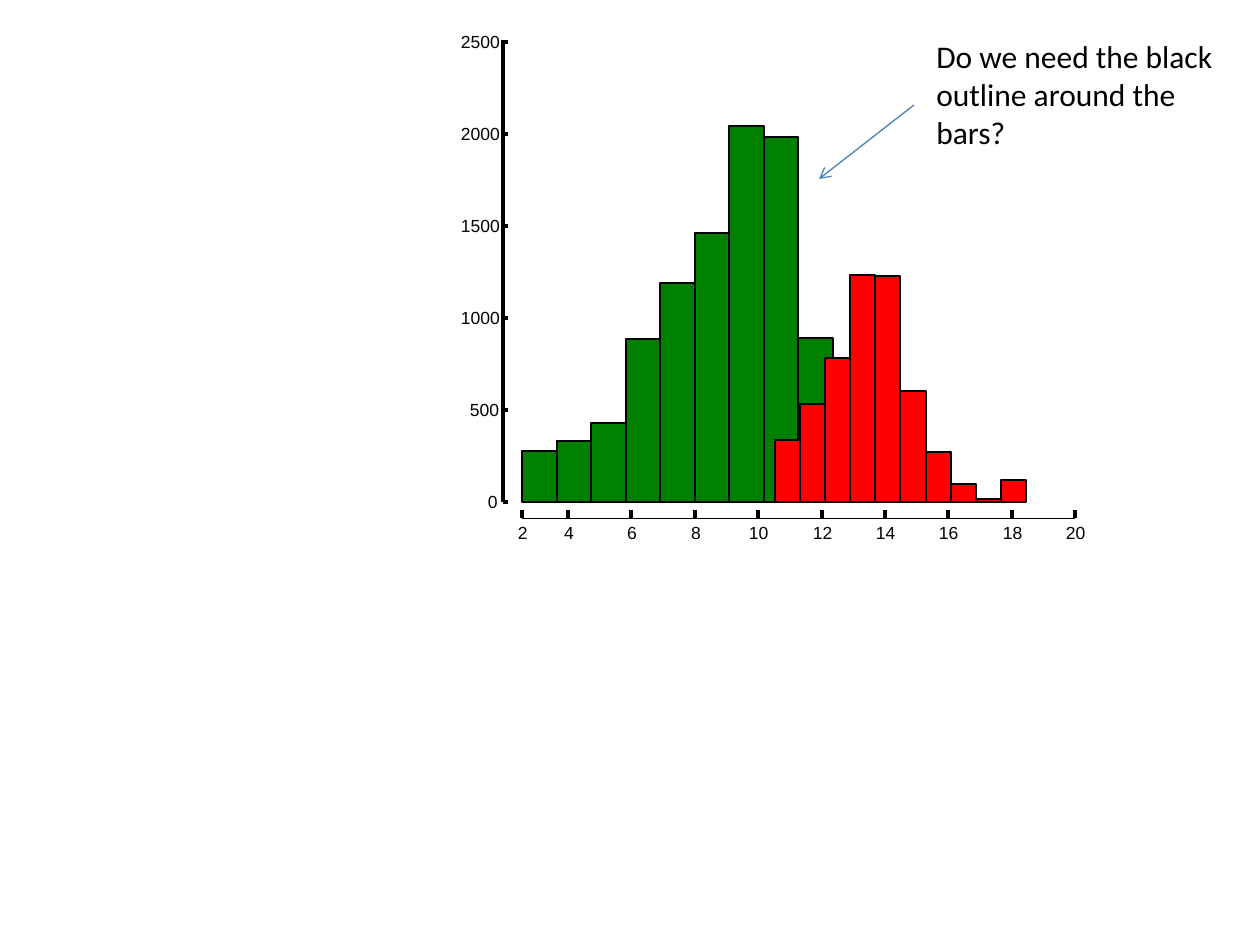
from dataclasses import dataclass

from lxml.etree import SubElement
from pptx import Presentation
from pptx.dml.color import RGBColor
from pptx.enum.shapes import MSO_CONNECTOR, MSO_SHAPE
from pptx.enum.text import MSO_AUTO_SIZE
from pptx.oxml.ns import qn
from pptx.util import Emu, Pt

PX_PER_INCH = 126
BASELINE = 502
PX_PER_COUNT = 0.184
Y_AXIS = 503
X_AXIS = 518
BLACK = "000000"


@dataclass(frozen=True)
class Histogram:
    left: int
    right: int
    color: str
    counts: tuple[int, ...]


HISTOGRAMS = (
    Histogram(522, 833, "008000",
              (277, 332, 427, 886, 1188, 1461, 2043, 1982, 893)),
    Histogram(775, 1026, "FF0000",
              (338, 530, 784, 1235, 1229, 605, 270, 99, 16, 120)),
)


def px(length: int) -> Emu:
    return Emu(round(length * 914400 / PX_PER_INCH))


def rgb(color: str) -> RGBColor:
    return RGBColor.from_string(color)


def count_y(count: int) -> int:
    return round(BASELINE - count * PX_PER_COUNT)


def add_line(page, x1: int, y1: int, x2: int, y2: int,
             color: str = BLACK, width: float = 0):
    line = page.shapes.add_connector(
        MSO_CONNECTOR.STRAIGHT, px(x1), px(y1), px(x2), px(y2))
    line.line.color.rgb = rgb(color)
    line.line.width = Pt(width)
    SubElement(line._element.spPr, qn("a:effectLst"))
    return line


def add_text(page, text: str, left: int, top: int, width: int, height: int,
             font: str, size: int):
    box = page.shapes.add_textbox(px(left), px(top), px(width), px(height))
    frame = box.text_frame
    frame.word_wrap = True
    frame.auto_size = MSO_AUTO_SIZE.SHAPE_TO_FIT_TEXT
    span = frame.paragraphs[0].add_run()
    span.text = text
    span.font.name = font
    span.font.size = Pt(size)
    span.font.color.rgb = rgb(BLACK)
    return box


def add_axis_label(page, text: str, left: int, top: int) -> None:
    box = add_text(page, text, left, top, 9 * len(text) + 9, 24, "Arial", 10)
    frame = box.text_frame
    frame.word_wrap = False
    frame.margin_left = frame.margin_right = 0
    frame.margin_top = frame.margin_bottom = 0


def add_x_axis(page) -> None:
    ticks = {2: 522}
    ticks.update({value: round(568 + (value - 4) * 31.7)
                  for value in range(4, 21, 2)})
    add_line(page, ticks[2], X_AXIS, ticks[20], X_AXIS, width=0.25)
    for value, x in ticks.items():
        label = str(value)
        add_line(page, x, X_AXIS, x, X_AXIS - 8)
        add_axis_label(page, label, x + 1 - 5 * len(label), 522)


def add_y_axis(page) -> None:
    add_line(page, Y_AXIS, BASELINE, Y_AXIS, 40)
    for count in range(0, 2501, 500):
        label = str(count)
        y = count_y(count)
        add_line(page, Y_AXIS, y, Y_AXIS + 5, y)
        add_axis_label(page, label, 497 - 9 * len(label), y - 11)


def add_histogram(page, histogram: Histogram) -> None:
    step = (histogram.right - histogram.left) / len(histogram.counts)
    for index, count in enumerate(histogram.counts):
        left = round(histogram.left + index * step)
        right = round(histogram.left + (index + 1) * step)
        top = count_y(count)
        bar = page.shapes.add_shape(
            MSO_SHAPE.RECTANGLE, px(left), px(top),
            px(right - left), px(BASELINE - top))
        bar.shadow.inherit = False
        bar.fill.solid()
        bar.fill.fore_color.rgb = rgb(histogram.color)
        bar.line.color.rgb = rgb(BLACK)
        bar.line.width = Pt(0)


def add_question(page) -> None:
    arrow = add_line(page, 914, 105, 819, 179, "4B7EBC", 0.75)
    SubElement(arrow.line._get_or_add_ln(), qn("a:tailEnd"), type="arrow")
    add_text(page, "Do we need the black outline around the bars?",
             924, 31, 315, 127, "Calibri", 18)


def main() -> None:
    deck = Presentation()
    deck.slide_width = px(1260)
    deck.slide_height = px(945)
    page = deck.slides.add_slide(deck.slide_layouts[6])
    add_x_axis(page)
    add_y_axis(page)
    for histogram in HISTOGRAMS:
        add_histogram(page, histogram)
    add_question(page)
    deck.save("out.pptx")


if __name__ == "__main__":
    main()
